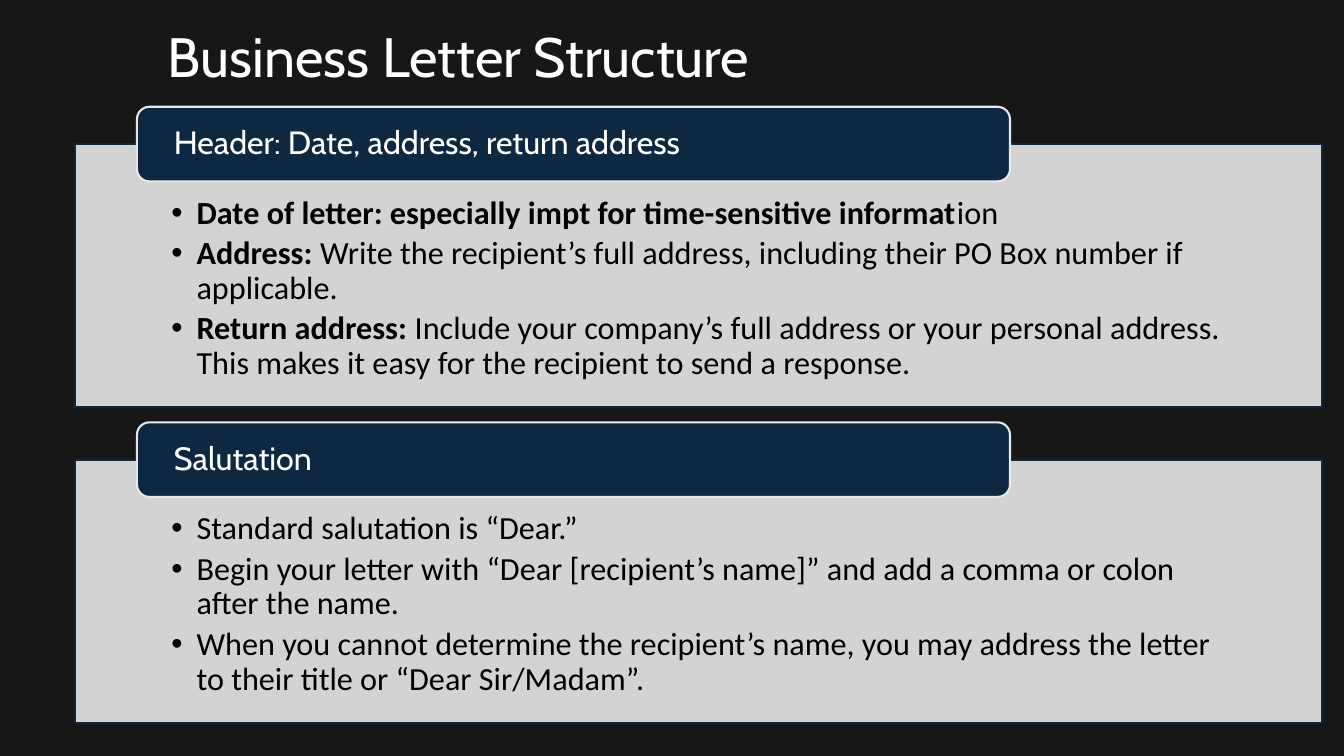
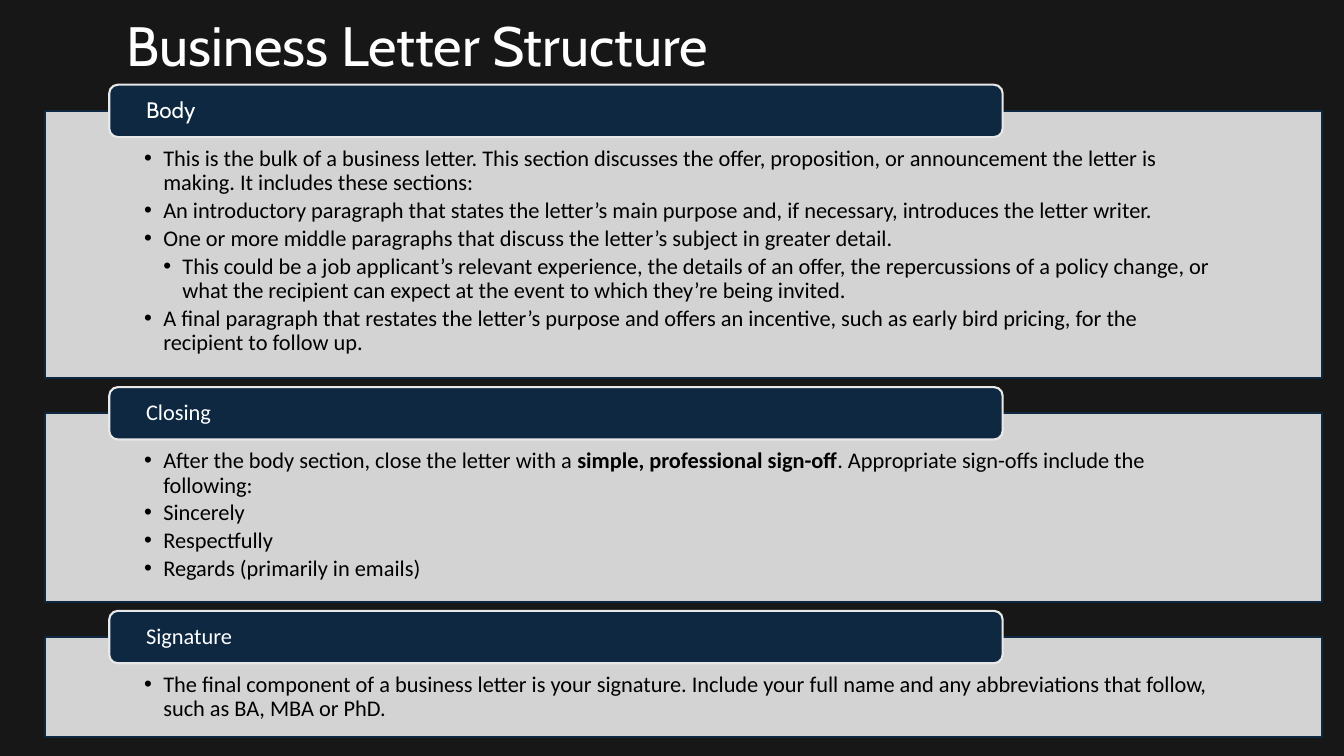
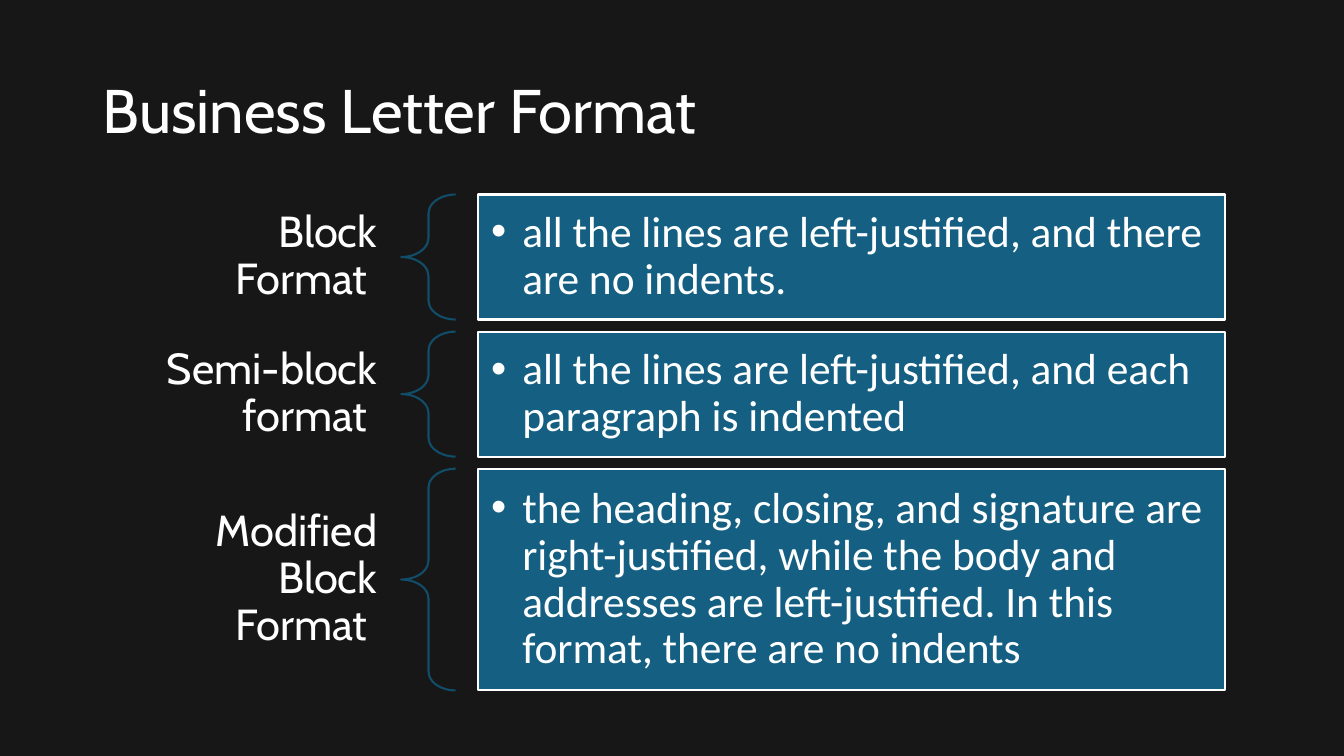
from pptx import Presentation
from pptx.dml.color import RGBColor
from pptx.enum.shapes import MSO_SHAPE as Shape
from pptx.enum.text import MSO_ANCHOR as Anchor, PP_ALIGN as Align
from pptx.oxml.ns import qn
from pptx.util import Inches, Pt

BACKGROUND, WHITE, BLACK = "171717", "FFFFFF", "000000"
NAVY, LIGHT, TEAL, DARK_TEAL = "0E2841", "E8E8E8", "156082", "114D68"
HEADING_FONT, BODY_FONT = "Cabin", "Calibri"
MARGINS = ("margin_left", "margin_top", "margin_right", "margin_bottom")


def color(hex_value):
    return RGBColor.from_string(hex_value)


def inches(values):
    return [Inches(value) for value in values]


def add_slide(presentation):
    slide = presentation.slides.add_slide(presentation.slide_layouts[6])
    slide.background.fill.solid()
    slide.background.fill.fore_color.rgb = color(BACKGROUND)
    return slide


def add_outlined_shape(slide, kind, box, line, fill=None, opacity=None):
    """Add a preset shape; opacity is a percentage."""
    shape = slide.shapes.add_shape(kind, *inches(box))
    shape.shadow.inherit = False
    shape.line.color.rgb = color(line)
    shape.line.width = Pt(1.5)
    if fill is None:
        shape.fill.background()
        return shape
    shape.fill.solid()
    shape.fill.fore_color.rgb = color(fill)
    if opacity:
        rgb = shape.fill._xPr.find(".//" + qn("a:srgbClr"))
        alpha = rgb.makeelement(qn("a:alpha"), {"val": str(opacity * 1000)})
        rgb.append(alpha)
    return shape


def set_bullet(paragraph, indent):
    """Hang a bullet at the paragraph's level, one indent per level."""
    properties = paragraph._p.get_or_add_pPr()
    properties.set("marL", str(Inches(indent * (paragraph.level + 1))))
    properties.set("indent", str(-Inches(indent)))
    for tag, attributes in (("a:buFont", {"typeface": "Arial"}),
                            ("a:buChar", {"char": "•"})):
        properties.append(properties.makeelement(qn(tag), attributes))


def write_text(shape, lines, size, font, ink, margins, anchor=Anchor.MIDDLE,
               align=Align.LEFT, indent=None, space_after=0):
    """Write lines; ** marks bold parts and a leading tab marks a sub-item."""
    frame = shape.text_frame
    frame.word_wrap = True
    frame.vertical_anchor = anchor
    for name, margin in zip(MARGINS, inches(margins)):
        setattr(frame, name, margin)
    for index, line in enumerate(lines):
        paragraph = frame.paragraphs[0] if index == 0 else frame.add_paragraph()
        paragraph.level = int(line.startswith("\t"))
        layout = {"alignment": align, "line_spacing": 0.9,
                  "space_before": Pt(0), "space_after": Pt(space_after)}
        for name, value in layout.items():
            setattr(paragraph, name, value)
        if indent:
            set_bullet(paragraph, indent)
        for part, text in enumerate(line.lstrip("\t").split("**")):
            if not text:
                continue
            run = paragraph.add_run()
            run.text = text
            style = {"name": font, "size": Pt(size), "bold": part % 2 == 1}
            for name, value in style.items():
                setattr(run.font, name, value)
            run.font.color.rgb = color(ink)


def add_title(slide, text, box, size=39.6, align=Align.CENTER, right_margin=0.37):
    title = slide.shapes.add_textbox(*inches(box))
    write_text(title, [text], size, HEADING_FONT, WHITE,
               (0.1, 0.05, right_margin, 0.05), align=align)


def add_section(slide, box, tab_height, heading, heading_font, items, style):
    """Add a bulleted panel with a heading tab over its top edge."""
    left, top, width, height = box
    panel_top = top + tab_height / 2
    panel = add_outlined_shape(slide, Shape.RECTANGLE,
                               (left, panel_top, width, height), NAVY, LIGHT, 90)
    side = style["side"]
    write_text(panel, items, style["size"], BODY_FONT, BLACK,
               (side, style["head"], side, 0.12), Anchor.TOP,
               indent=style["indent"], space_after=style["space_after"])
    tab = add_outlined_shape(slide, Shape.ROUNDED_RECTANGLE,
                             (left + width * 0.05, top, width * 0.7, tab_height),
                             LIGHT, NAVY)
    write_text(tab, [heading], style["size"], heading_font, WHITE,
               (style["tab_margin"], 0, style["tab_margin"], 0))
    return panel_top + height


def add_structure_slide(presentation, title_box, area, tab_height, gap, sections, style):
    """Stack sections of (heading, font, panel height, items) down the area."""
    slide = add_slide(presentation)
    add_title(slide, "Business Letter Structure", title_box)
    left, top, width = area
    for heading, font, height, items in sections:
        bottom = add_section(slide, (left, top, width, height), tab_height,
                             heading, font, items, style)
        top = bottom + gap


def add_format_row(slide, box, name, description):
    """Add a label, a brace and a description side by side."""
    left, top, width, height = box
    label = slide.shapes.add_textbox(*inches((left, top, 2.73, height)))
    write_text(label, [name], 31, HEADING_FONT, WHITE,
               (0.24, 0.09, 0.24, 0.09), align=Align.RIGHT)
    brace = add_outlined_shape(slide, Shape.LEFT_BRACE,
                               (left + 2.73, top, 0.54, height), DARK_TEAL)
    brace.adjustments[0] = 0.35
    brace.adjustments[1] = 0.5
    panel = add_outlined_shape(slide, Shape.RECTANGLE,
                               (left + 3.49, top, width - 3.49, height), WHITE, TEAL)
    write_text(panel, [description], 31, BODY_FONT, WHITE, [0.13] * 4, indent=0.31)


def add_format_slide(presentation, rows):
    slide = add_slide(presentation)
    add_title(slide, "Business Letter Format", (0.92, 0.4, 11.5, 1.45), 44,
              Align.LEFT, 0.1)
    top = 1.93
    for name, description, height in rows:
        add_format_row(slide, (1.25, top, 10.9, height), name, description)
        top += height + 0.12


OPENING = [
    ("Header: Date, address, return address", HEADING_FONT, 2.61, [
        "**Date of letter: especially impt for time-sensitive informat**ion",
        "**Address:** Write the recipient’s full address, including their PO Box "
        "number if applicable.",
        "**Return address: **Include your company’s full address or your personal "
        "address. This makes it easy for the recipient to send a response."]),
    ("Salutation", HEADING_FONT, 2.61, [
        "Standard salutation is “Dear.”",
        "Begin your letter with “Dear [recipient’s name]” and add a comma or colon "
        "after the name.",
        "When you cannot determine the recipient’s name, you may address the letter "
        "to their title or “Dear Sir/Madam”."]),
]
REMAINDER = [
    ("Body", HEADING_FONT, 2.65, [
        "This is the bulk of a business letter. This section discusses the offer, "
        "proposition, or announcement the letter is making. It includes these sections:",
        "An introductory paragraph that states the letter’s main purpose and, if "
        "necessary, introduces the letter writer.",
        "One or more middle paragraphs that discuss the letter’s subject in greater "
        "detail.",
        "\tThis could be a job applicant’s relevant experience, the details of an "
        "offer, the repercussions of a policy change, or what the recipient can "
        "expect at the event to which they’re being invited.",
        "A final paragraph that restates the letter’s purpose and offers an "
        "incentive, such as early bird pricing, for the recipient to follow up."]),
    ("Closing", BODY_FONT, 1.87, [
        "After the body section, close the letter with a **simple, professional "
        "sign-off**. Appropriate sign-offs include the following:",
        "Sincerely", "Respectfully", "Regards (primarily in emails)"]),
    ("Signature", BODY_FONT, 0.99, [
        "The final component of a business letter is your signature. Include your "
        "full name and any abbreviations that follow, such as BA, MBA or PhD."]),
]
FORMATS = [
    ("Block Format ", "all the lines are left-justified, and there are no indents.", 1.24),
    ("Semi-block format ",
     "all the lines are left-justified, and each paragraph is indented", 1.24),
    ("Modified Block Format ",
     "the heading, closing, and signature are right-justified, while the body and "
     "addresses are left-justified. In this format, there are no indents", 2.2),
]
LARGE = {"size": 23, "side": 0.96, "head": 0.52, "indent": 0.25,
         "space_after": 4, "tab_margin": 0.33}
SMALL = {"size": 16, "side": 0.98, "head": 0.36, "indent": 0.19,
         "space_after": 2.7, "tab_margin": 0.34}


def main():
    presentation = Presentation()
    presentation.slide_width = Inches(13.33)
    presentation.slide_height = Inches(7.5)
    add_structure_slide(presentation, (0.86, 0.26, 7.65, 0.66), (0.74, 1.06, 12.37),
                        0.74, 0.15, OPENING, LARGE)
    add_structure_slide(presentation, (0.45, 0.15, 7.65, 0.66), (0.45, 0.84, 12.66),
                        0.52, 0.09, REMAINDER, SMALL)
    add_format_slide(presentation, FORMATS)
    presentation.save("out.pptx")


if __name__ == "__main__":
    main()
